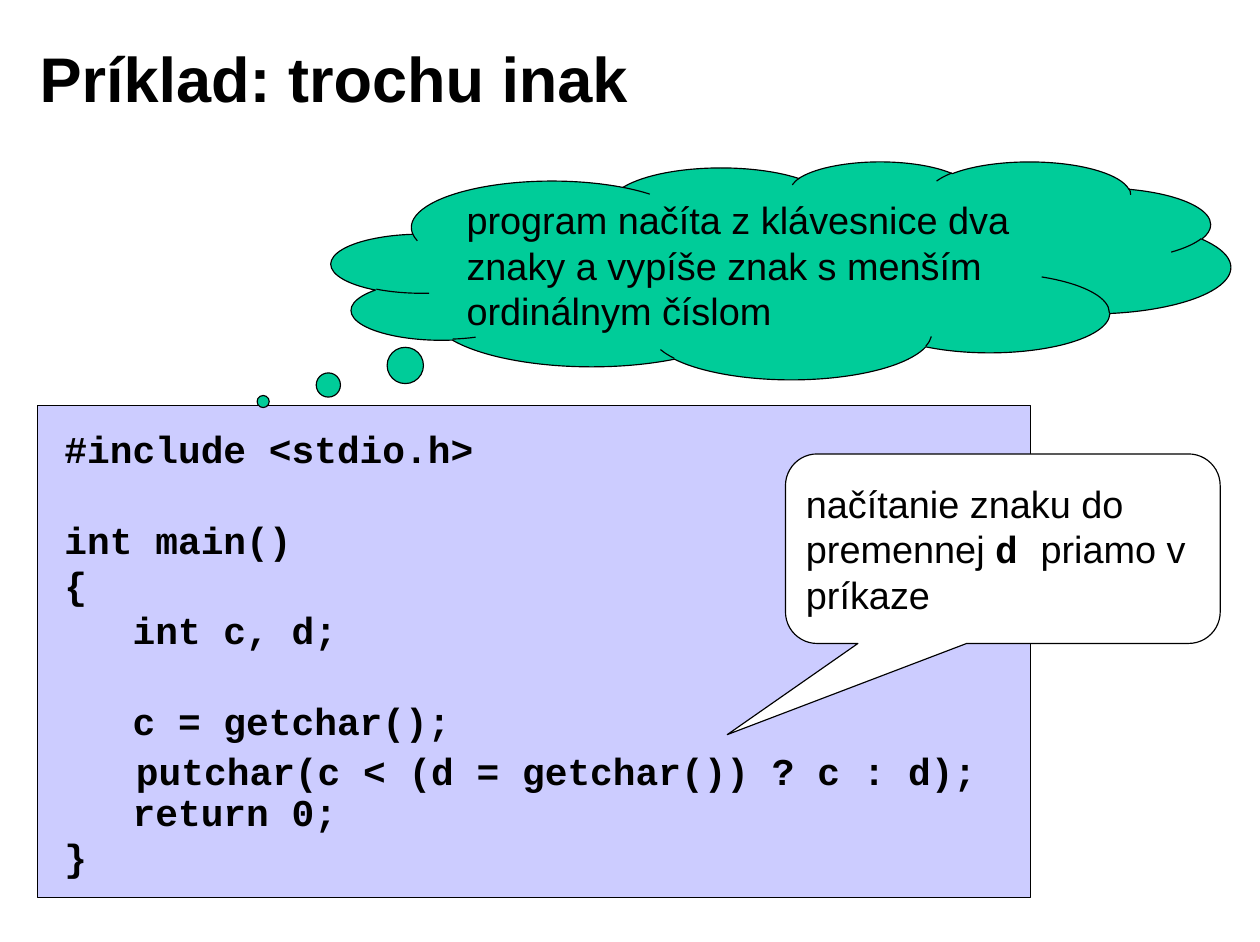
import pptx
import pptx.util
import pptx.dml.color
import pptx.enum.shapes
import pptx.enum.text

Inches = pptx.util.Inches
Pt = pptx.util.Pt
SHAPE = pptx.enum.shapes.MSO_SHAPE
ANCHOR = pptx.enum.text.MSO_ANCHOR
COLORS = {"ink": "000000", "code": "CCCCFF", "cloud": "00CC99", "note": "FFFFFF"}
LINE_PITCH = 28.8


def rgb(name):
    return pptx.dml.color.RGBColor.from_string(COLORS[name])


def write(frame, text, font="Arial", size=24, bold=False, anchor=ANCHOR.MIDDLE,
          wrap=True, pitch=LINE_PITCH, mono=None):
    """Write lines of text; empty lines become space before, mono is set as code."""
    frame.word_wrap = wrap
    frame.auto_size = pptx.enum.text.MSO_AUTO_SIZE.NONE
    frame.vertical_anchor = anchor
    frame.margin_left = frame.margin_right = Inches(0.1)
    frame.margin_top = frame.margin_bottom = Inches(0.05)
    paragraph, gap = frame.paragraphs[0], 0
    for number, line in enumerate(text.split("\n")):
        if not line:
            gap += LINE_PITCH
            continue
        if number:
            paragraph = frame.add_paragraph()
        paragraph.alignment = pptx.enum.text.PP_ALIGN.LEFT
        paragraph.space_before = Pt(gap)
        if pitch:
            paragraph.line_spacing = Pt(pitch)
        gap = 0
        before, found, after = line.partition(mono) if mono else (line, "", "")
        for part, is_code in ((before, False), (found, True), (after, False)):
            if part:
                run = paragraph.add_run()
                run.text = part
                run.font.name = "Courier New" if is_code else font
                run.font.size = Pt(size)
                run.font.bold = bold or is_code
                run.font.color.rgb = rgb("ink")


deck = pptx.Presentation()
deck.slide_width, deck.slide_height = Inches(11.1), Inches(8.3)
slide = deck.slides.add_slide(deck.slide_layouts[5])

# Title
title = slide.shapes.title
title.left, title.top = Inches(0.25), Inches(0.17)
title.width, title.height = Inches(8.92), Inches(1.02)
write(title.text_frame, "Príklad: trochu inak", size=40, bold=True, pitch=None)

# Code panel, task cloud and remark, from back to front
panels = {}
for name, kind, box, adjustments in (
    ("code", SHAPE.RECTANGLE, (0.33, 3.57, 8.75, 4.34), ()),
    ("cloud", SHAPE.CLOUD_CALLOUT, (2.92, 1.42, 7.92, 1.92), (-0.576, 0.603)),
    ("note", SHAPE.ROUNDED_RECTANGULAR_CALLOUT, (6.92, 4, 3.83, 1.67),
     (-0.634, 0.981, 0.167)),
):
    panel = slide.shapes.add_shape(kind, *map(Inches, box))
    for index, value in enumerate(adjustments):
        panel.adjustments[index] = value
    panel.shadow.inherit = False
    panel.fill.solid()
    panel.fill.fore_color.rgb = rgb(name)
    panel.line.color.rgb = rgb("ink")
    panel.line.width = Pt(0.75)
    panels[name] = panel.text_frame

write(panels["cloud"],
      "program načíta z klávesnice dva znaky a vypíše znak s menším ordinálnym číslom")
write(panels["note"], "načítanie znaku do premennej d priamo v príkaze", mono="d ")

# Program text, with the key statement in a box of its own
PROGRAM = """#include <stdio.h>

int main()
{
   int c, d;

   c = getchar();

   return 0;
}"""
for code, box in (
    (PROGRAM, (0.47, 3.7, 3.8, 4.1)),
    ("putchar(c < (d = getchar()) ? c : d);", (1.1, 6.54, 7.6, 0.5)),
):
    listing = slide.shapes.add_textbox(*map(Inches, box))
    write(listing.text_frame, code, font="Courier New", bold=True,
          anchor=ANCHOR.TOP, wrap=False)

deck.save("out.pptx")
